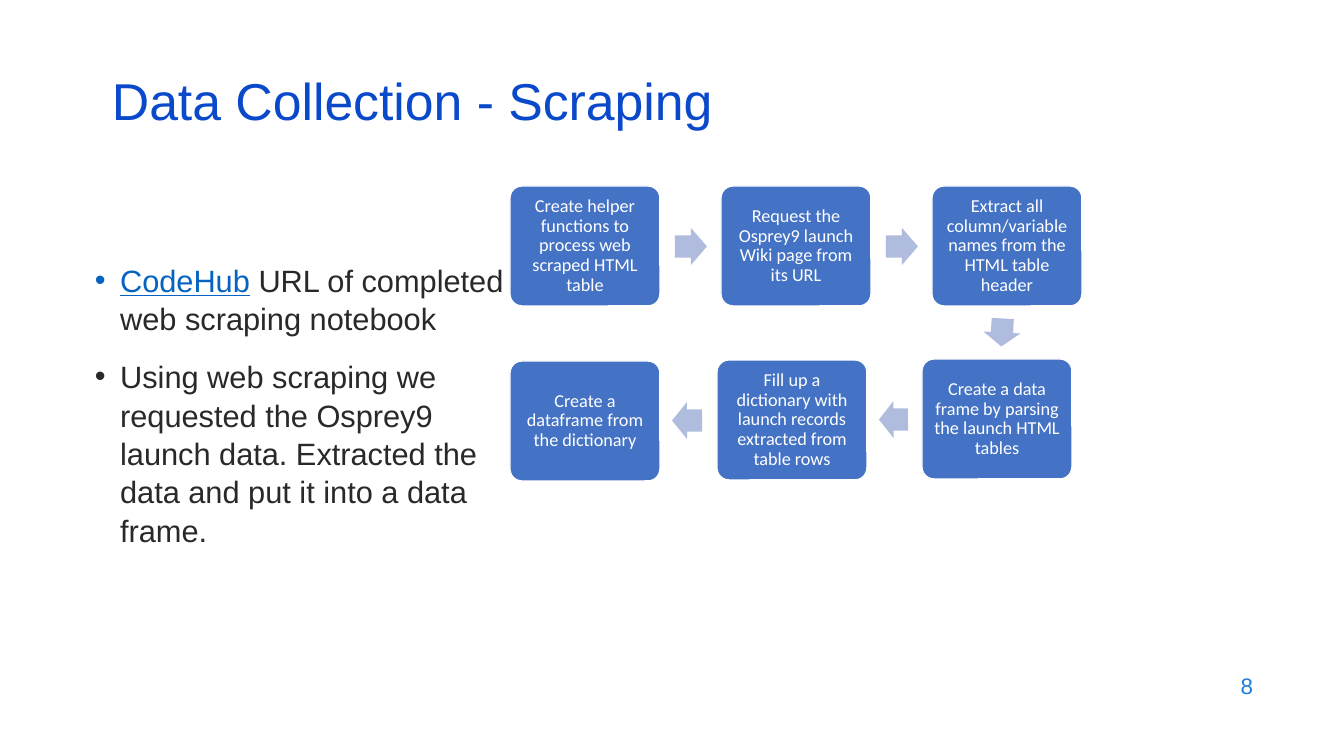
"""Build the web scraping slide: title, bullet list and six-step process flow."""
from lxml.etree import SubElement
from pptx import Presentation
from pptx.dml.color import RGBColor
from pptx.enum.shapes import MSO_SHAPE
from pptx.enum.text import MSO_ANCHOR, PP_ALIGN
from pptx.oxml.ns import qn
from pptx.util import Emu, Pt

TITLE_BLUE = RGBColor(0x0B, 0x49, 0xCB)
NUMBER_BLUE = RGBColor(0x1C, 0x7D, 0xDB)
LINK_BLUE = RGBColor(0x05, 0x63, 0xC1)
BODY_GREY = RGBColor(0x29, 0x29, 0x29)
STEP_BLUE = RGBColor(0x44, 0x72, 0xC4)
ARROW_BLUE = RGBColor(0xB0, 0xBC, 0xDE)
WHITE = RGBColor(0xFF, 0xFF, 0xFF)


def px(*lengths):
    return [Emu(round(length * 914400 / 100.8)) for length in lengths]


def style(font, name, size, color):
    font.name = name
    font.size = Pt(size)
    font.color.rgb = color


deck = Presentation()
deck.slide_width, deck.slide_height = px(1344, 756)
page = deck.slides.add_slide(deck.slide_layouts[6])

labels = [
    ("Data Collection - Scraping", (102, 77, 1159, 60), 37, TITLE_BLUE, PP_ALIGN.LEFT, 0.7),
    ("8", (961, 664, 302, 44), 16, NUMBER_BLUE, PP_ALIGN.RIGHT, 1.0),
]
for text, place, size, color, alignment, spacing in labels:
    box = page.shapes.add_textbox(*px(*place))
    box.text_frame.word_wrap = True
    box.text_frame.vertical_anchor = MSO_ANCHOR.MIDDLE
    para = box.text_frame.paragraphs[0]
    para.text = text
    para.alignment = alignment
    para.line_spacing = spacing
    style(para.font, "Arial", size, color)

bullets = [
    [("CodeHub", LINK_BLUE, True), (" URL of completed web scraping notebook", BODY_GREY, False)],
    [("Using web scraping we requested the Osprey9 launch data. "
      "Extracted the data and put it into a data frame.", BODY_GREY, False)],
]
body = page.shapes.add_textbox(*px(85, 255, 433, 362)).text_frame
body.word_wrap = True
for index, spans in enumerate(bullets):
    para = body.add_paragraph() if index else body.paragraphs[0]
    properties = para._p.get_or_add_pPr()
    properties.set("marL", "228600")
    properties.set("indent", "-228600")
    SubElement(properties, qn("a:buFont"), typeface="Arial")
    SubElement(properties, qn("a:buChar"), char="•")
    para.line_spacing = 1.04
    if index:
        para.space_before = Pt(14)
    for text, color, underlined in spans:
        span = para.add_run()
        span.text = text
        style(span.font, "Arial", 22, color)
        span.font.underline = underlined

steps = [
    ("Create helper functions to process web scraped HTML table", 510, 186),
    ("Request the Osprey9 launch Wiki page from its URL", 721, 186),
    ("Extract all column/variable names from the HTML table header", 932, 186),
    ("Create a data frame by parsing the launch HTML tables", 922, 359),
    ("Fill up a dictionary with launch records extracted from table rows", 717, 360),
    ("Create a dataframe from the dictionary", 510, 361),
]
for text, left, top in steps:
    step = page.shapes.add_shape(MSO_SHAPE.ROUNDED_RECTANGLE, *px(left, top, 150, 120))
    step.shadow.inherit = False
    step.adjustments[0] = 0.1
    step.fill.solid()
    step.fill.fore_color.rgb = STEP_BLUE
    step.line.color.rgb = WHITE
    step.line.width = Pt(1)
    frame = step.text_frame
    frame.word_wrap = True
    frame.vertical_anchor = MSO_ANCHOR.MIDDLE
    frame.margin_left, frame.margin_top, frame.margin_right, frame.margin_bottom = px(5, 5, 5, 5)
    para = frame.paragraphs[0]
    para.text = text
    para.alignment = PP_ALIGN.CENTER
    para.line_spacing = 0.9
    style(para.font, "Calibri", 13, WHITE)

arrows = [
    (675, 228, 32, 0),
    (886, 228, 32, 0),
    (988, 314, 28, 93),
    (879, 401, 29, 179.7),
    (672, 402, 30, 179.7),
]
for left, top, width, rotation in arrows:
    arrow = page.shapes.add_shape(MSO_SHAPE.RIGHT_ARROW, *px(left, top, width, 37))
    arrow.shadow.inherit = False
    arrow.adjustments[0] = 0.6
    arrow.adjustments[1] = 0.5
    arrow.rotation = rotation
    arrow.fill.solid()
    arrow.fill.fore_color.rgb = ARROW_BLUE
    arrow.line.fill.background()

deck.save("out.pptx")
